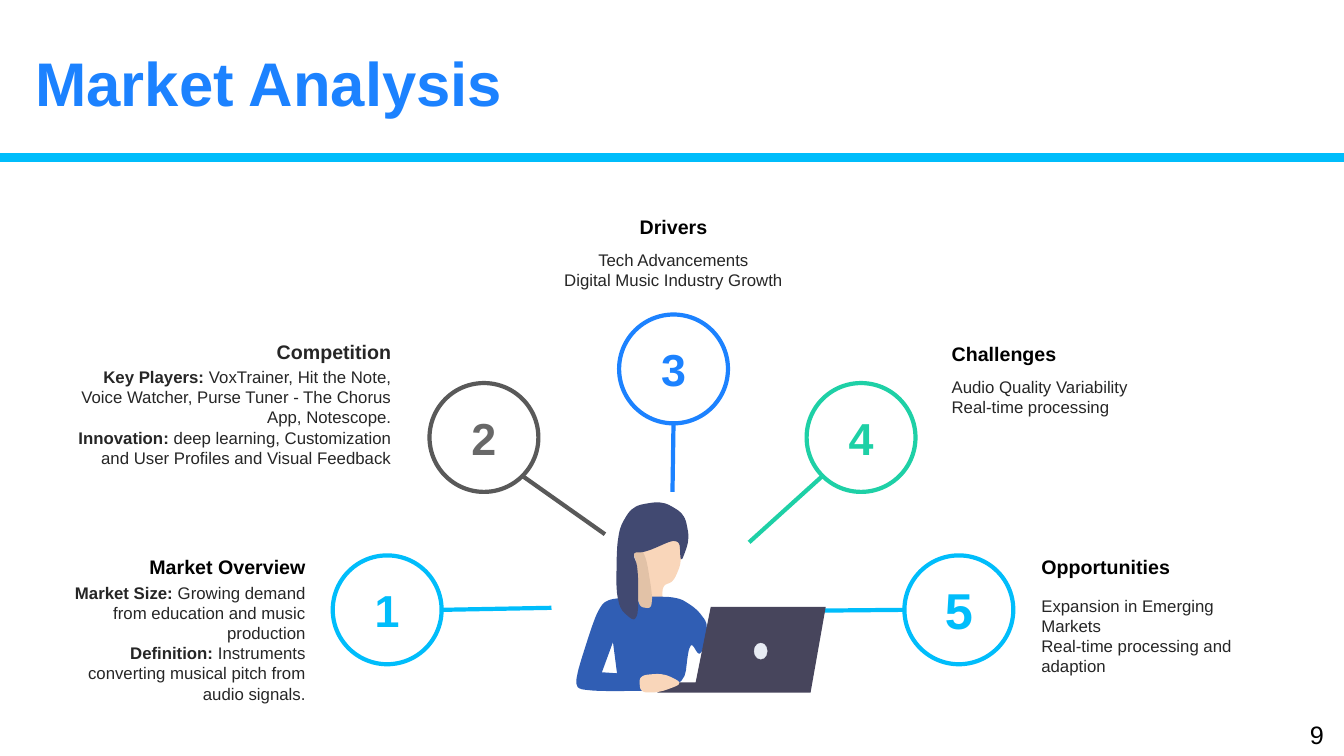
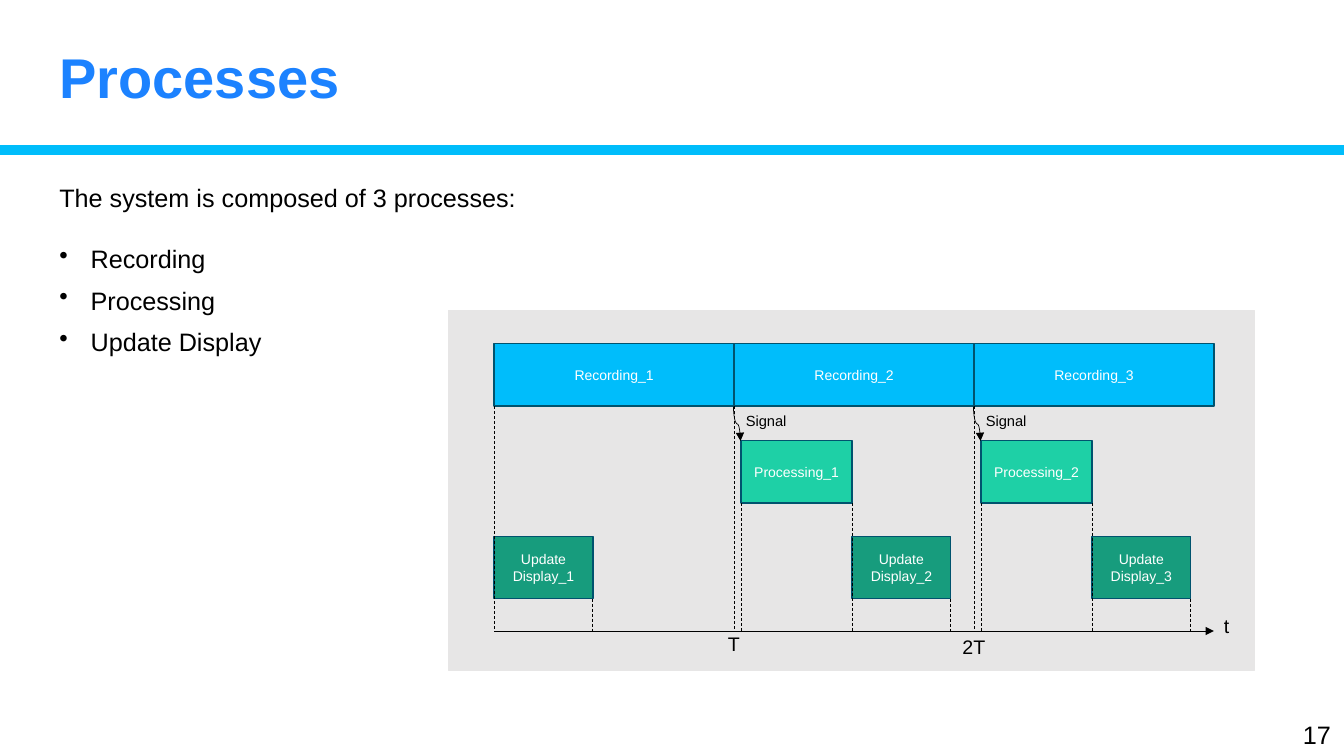
"""Build two slides: a market analysis wheel and a process timeline."""
from dataclasses import dataclass
from math import cos, radians, sin

from lxml import etree
from pptx import Presentation
from pptx import util as u
from pptx.dml.color import RGBColor
from pptx.enum import dml, shapes, text
from pptx.oxml import ns

EMU_PER_PX = 9144
LEFT, CENTER, RIGHT = text.PP_ALIGN.LEFT, text.PP_ALIGN.CENTER, text.PP_ALIGN.RIGHT
MIDDLE, TOP = text.MSO_ANCHOR.MIDDLE, text.MSO_ANCHOR.TOP
OVAL = shapes.MSO_SHAPE.OVAL


@dataclass(frozen=True)
class Theme:
    """Colours, font and type sizes of the deck."""
    font: str = "Arial"
    white: str = "FFFFFF"
    black: str = "000000"
    ink: str = "262626"
    blue: str = "1C82FF"
    sky: str = "00BDFB"
    mint: str = "1ED0A6"
    green: str = "179C7D"
    gray: str = "595959"
    gray_number: str = "686868"
    panel: str = "E7E6E6"
    outline: str = "00536E"
    skin: str = "F9D6BA"
    skin_shade: str = "E2C2A7"
    sweater: str = "305EB4"
    laptop: str = "47455C"
    badge: str = "E8ECF4"
    hair: str = "414971"
    number: float = 32
    body: float = 18
    heading: float = 14
    detail: float = 12
    signal: float = 10.5
    block: float = 10


THEME = Theme()
WIDTH, HEIGHT = 1333, 750
CIRCLE = 108
COLUMN = 250

STAGES = [
    dict(label="1", at=(330, 551), colour=THEME.sky, end=(547, 603), align=RIGHT,
         heading="Market Overview", heading_at=(63, 546), drop=27, body_height=131,
         body=[("Market Size: ", "Growing demand from education and music production"),
               ("Definition: ", "Instruments converting musical pitch from audio signals.")]),
    dict(label="2", at=(426, 380), colour=THEME.gray, number_colour=THEME.gray_number,
         end=(600, 530), align=RIGHT, heading="Competition", heading_colour=THEME.ink,
         heading_at=(148, 332), drop=27, body_height=111, widen=100,
         body=[("Key Players: ", "VoxTrainer, Hit the Note, Voice Watcher, "
                "Purse Tuner - The Chorus App, Notescope."),
               ("Innovation: ", "deep learning, Customization and User Profiles "
                "and Visual Feedback")]),
    dict(label="3", at=(614, 312), colour=THEME.blue, end=(667, 488), align=CENTER,
         heading="Drivers", heading_at=(543, 208), drop=35, body_height=50,
         body=[("", "Tech Advancements"), ("", "Digital Music Industry Growth")]),
    dict(label="4", at=(800, 380), colour=THEME.mint, end=(743, 538), align=LEFT,
         heading="Challenges", heading_at=(934, 334), drop=35, body_height=50,
         body=[("", "Audio Quality Variability"), ("", "Real-time processing")]),
    dict(label="5", at=(897, 551), colour=THEME.sky, number_size=36, end=(789, 606),
         align=LEFT, heading="Opportunities", heading_at=(1023, 546), drop=40,
         body_height=91,
         body=[("", "Expansion in Emerging Markets"),
               ("", "Real-time processing and adaption")]),
]

FACE = [(632, 547), (674, 530), (676, 558), (668, 577), (657, 581), (657, 600),
        (645, 606), (633, 600)]
SWEATER = [(629, 592), (672, 592), (691, 604), (703, 620), (695, 653), (684, 635),
           (678, 685), (575, 686), (570, 675), (590, 612), (600, 595)]
ARM_GAP = [(608, 637), (597, 667), (612, 668)]
LAPTOP = [(705, 602), (819, 602), (804, 687), (652, 687), (660, 677), (690, 677)]
HAND = [(635, 687), (634, 670), (658, 668), (678, 678), (654, 687)]
CHEEK = [(627, 546), (640, 546), (649, 604), (632, 602), (632, 560)]
HAIR = [(612, 528), (627, 502), (657, 497), (679, 510), (684, 535), (675, 560),
        (674, 533), (640, 548), (627, 548), (633, 563), (633, 620), (611, 601)]


def px(*lengths):
    """Turn lengths in px into EMU."""
    return [u.Emu(round(length * EMU_PER_PX)) for length in lengths]


def rgb(colour):
    """Turn a hex string into a colour."""
    return RGBColor.from_string(colour)


def add_para(frame, words, *, size, colour=THEME.black, bold=False, align=LEFT,
             anchor=TOP, lead="", bullet=False, before=0, spacing=None):
    """Add a formatted paragraph, with an optional bold lead, to a text frame."""
    para = frame.add_paragraph() if frame.text else frame.paragraphs[0]
    frame.word_wrap = True
    frame.vertical_anchor = anchor
    if bullet:
        props = para._p.get_or_add_pPr()
        indent = px(31)[0]
        props.set("marL", str(indent))
        props.set("indent", str(-indent))
        etree.SubElement(props, ns.qn("a:buChar")).set("char", "•")
    para.alignment = align
    if before:
        para.space_before = u.Pt(before)
    if spacing:
        para.line_spacing = spacing
    for piece, heavy in ((lead, True), (words, bold)):
        if piece:
            span = para.add_run()
            span.text = piece
            span.font.name, span.font.size, span.font.bold = THEME.font, u.Pt(size), heavy
            span.font.color.rgb = rgb(colour)


def add_text(page, box, words, **style):
    """Add a text box with one paragraph and return its frame."""
    frame = page.shapes.add_textbox(*px(*box)).text_frame
    add_para(frame, words, **style)
    return frame


def add_block(page, box, fill, outline, kind=shapes.MSO_SHAPE.RECTANGLE, weight=1,
              words="", **style):
    """Add a filled, outlined shape with optional centred text."""
    block = page.shapes.add_shape(kind, *px(*box))
    block.shadow.inherit = False
    block.fill.solid()
    block.fill.fore_color.rgb = rgb(fill)
    block.line.color.rgb = rgb(outline)
    block.line.width = u.Pt(weight)
    if words:
        add_para(block.text_frame, words, align=CENTER, anchor=MIDDLE, **style)


def add_line(page, start, end, colour=THEME.black, weight=0.5, dashed=False,
             arrow=False, kind=shapes.MSO_CONNECTOR.STRAIGHT):
    """Add a connector and return it."""
    line = page.shapes.add_connector(kind, *px(*start, *end))
    line.line.color.rgb = rgb(colour)
    line.line.width = u.Pt(weight)
    if dashed:
        line.line.dash_style = dml.MSO_LINE.DASH
    props = line.element.spPr
    if arrow:
        etree.SubElement(props.get_or_add_ln(), ns.qn("a:tailEnd")).set("type", "triangle")
    etree.SubElement(props, ns.qn("a:effectLst"))
    return line


def add_signal(page, x, top, bottom, shift):
    """Add a curved arrow going down from x to x + shift, with its label."""
    middle_x, middle_y, half = x + shift // 2, (top + bottom) // 2, (bottom - top) // 2
    curve = add_line(page, (middle_x + half, middle_y - shift // 2),
                     (middle_x - half, middle_y + shift - shift // 2),
                     arrow=True, kind=shapes.MSO_CONNECTOR.CURVE)
    curve.element.spPr.find(ns.qn("a:xfrm")).set("rot", "16200000")
    add_text(page, (x + 2, top + 1, 120, 30), "Signal", size=THEME.signal)


def round_corners(corners, rounds=3, cut=0.2):
    """Soften a closed outline by cutting its corners repeatedly."""
    for _ in range(rounds):
        pairs = zip(corners, corners[1:] + corners[:1])
        corners = [tuple(a + (b - a) * share for a, b in zip(start, end))
                   for start, end in pairs for share in (cut, 1 - cut)]
    return corners


def add_outline(page, fill, *outlines):
    """Add a filled freeform made of one or more closed outlines."""
    first, *others = [[px(*point) for point in outline] for outline in outlines]
    builder = page.shapes.build_freeform(*first[0], scale=1.0)
    builder.add_line_segments(first[1:], close=True)
    for points in others:
        builder.move_to(*points[0])
        builder.add_line_segments(points[1:], close=True)
    figure = builder.convert_to_shape()
    figure.shadow.inherit = False
    figure.fill.solid()
    figure.fill.fore_color.rgb = rgb(fill)
    figure.line.fill.background()


def add_woman(page):
    """Add the woman working at a laptop."""
    add_outline(page, THEME.skin, round_corners(FACE))
    add_outline(page, THEME.sweater, round_corners(SWEATER), ARM_GAP)
    add_outline(page, THEME.laptop, LAPTOP)
    add_outline(page, THEME.skin, round_corners(HAND))
    add_block(page, (748, 638, 13, 16), THEME.badge, THEME.badge, OVAL, 0.25)
    add_outline(page, THEME.skin_shade, round_corners(CHEEK))
    add_outline(page, THEME.hair, round_corners(HAIR))


def add_page(deck, title, title_box, title_size, band_top, number):
    """Add a slide with its title, band and page number."""
    page = deck.slides.add_slide(deck.slide_layouts[5])
    holder = page.shapes.title
    holder.left, holder.top, holder.width, holder.height = px(*title_box)
    holder.text_frame.auto_size = text.MSO_AUTO_SIZE.NONE
    add_para(holder.text_frame, title, size=title_size, colour=THEME.blue, bold=True,
             anchor=MIDDLE, spacing=1.1)
    add_block(page, (0, band_top, WIDTH, 8), THEME.sky, THEME.sky)
    add_text(page, (1279, 709, 54, 40), number, size=THEME.body, align=CENTER)
    return page


def add_stage(page, stage):
    """Add a numbered circle with its spoke, heading and details."""
    left, top = stage["at"]
    colour, radius = stage["colour"], CIRCLE // 2
    add_block(page, (left, top, CIRCLE, CIRCLE), THEME.white, colour, OVAL, 3,
              stage["label"], bold=True, size=stage.get("number_size", THEME.number),
              colour=stage.get("number_colour", colour))
    angle = radians(45 * (int(stage["label"]) - 1))
    start = (left + radius + radius * cos(angle), top + radius + radius * sin(angle))
    add_line(page, start, stage["end"], colour, 3)
    x, y = stage["heading_at"]
    add_text(page, (x, y, COLUMN, 34), stage["heading"], bold=True,
             size=THEME.heading, align=stage["align"],
             colour=stage.get("heading_colour", THEME.black))
    widen = stage.get("widen", 0)
    body_box = (x - widen, y + stage["drop"], COLUMN + widen, stage["body_height"])
    frame = page.shapes.add_textbox(*px(*body_box)).text_frame
    for lead, words in stage["body"]:
        add_para(frame, words, lead=lead, size=THEME.detail, colour=THEME.ink,
                 align=stage["align"])


def add_timeline(page):
    """Add the timeline of recordings, processing and display updates."""
    start, period, delay, axis, height = 490, 238, 7, 626, 62
    process_width, update_width = 110, 98
    recordings = [start + period * i for i in range(3)]
    processings = [x + delay for x in recordings[1:]]
    updates = [start] + [x + process_width for x in processings]
    rows = [("Recording_", recordings, 341, period, THEME.sky),
            ("Processing_", processings, 437, process_width, THEME.mint),
            ("Update Display_", updates, 532, update_width, THEME.green)]
    add_block(page, (445, 308, 799, 357), THEME.panel, THEME.panel)
    for name, lefts, top, width, fill in rows:
        for count, left in enumerate(lefts, 1):
            add_block(page, (left, top, width, height), fill, THEME.outline,
                      words=f"{name}{count}", size=THEME.block, colour=THEME.white)
    drops = [recordings, processings + updates[1:], [x + update_width for x in updates]]
    for (_, _, top, _, _), lefts in zip(rows, drops):
        for x in lefts:
            add_line(page, (x, top + height), (x, axis), dashed=True)
    for x in recordings[1:]:
        add_signal(page, x, rows[0][2] + height, rows[1][2], delay)
    end = start + 3 * period
    add_line(page, (start, axis), (end, axis), arrow=True)
    add_text(page, (end, 604, 30, 35), "t", size=THEME.heading)
    for x, top, label in zip(recordings[1:], (622, 625), ("T", "2T")):
        add_text(page, (x - 25, top, 50, 34), label, size=THEME.heading, align=CENTER)


def main():
    """Build and save the deck."""
    deck = Presentation()
    deck.slide_width, deck.slide_height = px(WIDTH, HEIGHT)

    market = add_page(deck, "Market Analysis", (25, 27, 812, 101), 44, 152, "9")
    for stage in STAGES:
        add_stage(market, stage)
    add_woman(market)

    processes = add_page(deck, "Processes", (49, 22, 893, 101), 40, 145, "17")
    frame = add_text(processes, (49, 176, 1218, 182),
                     "The system is composed of 3 processes:", size=THEME.body)
    for before, words in ((22, "Recording"), (8, "Processing"), (8, "Update Display")):
        add_para(frame, words, size=THEME.body, bullet=True, before=before)
    add_timeline(processes)
    deck.save("out.pptx")


if __name__ == "__main__":
    main()
